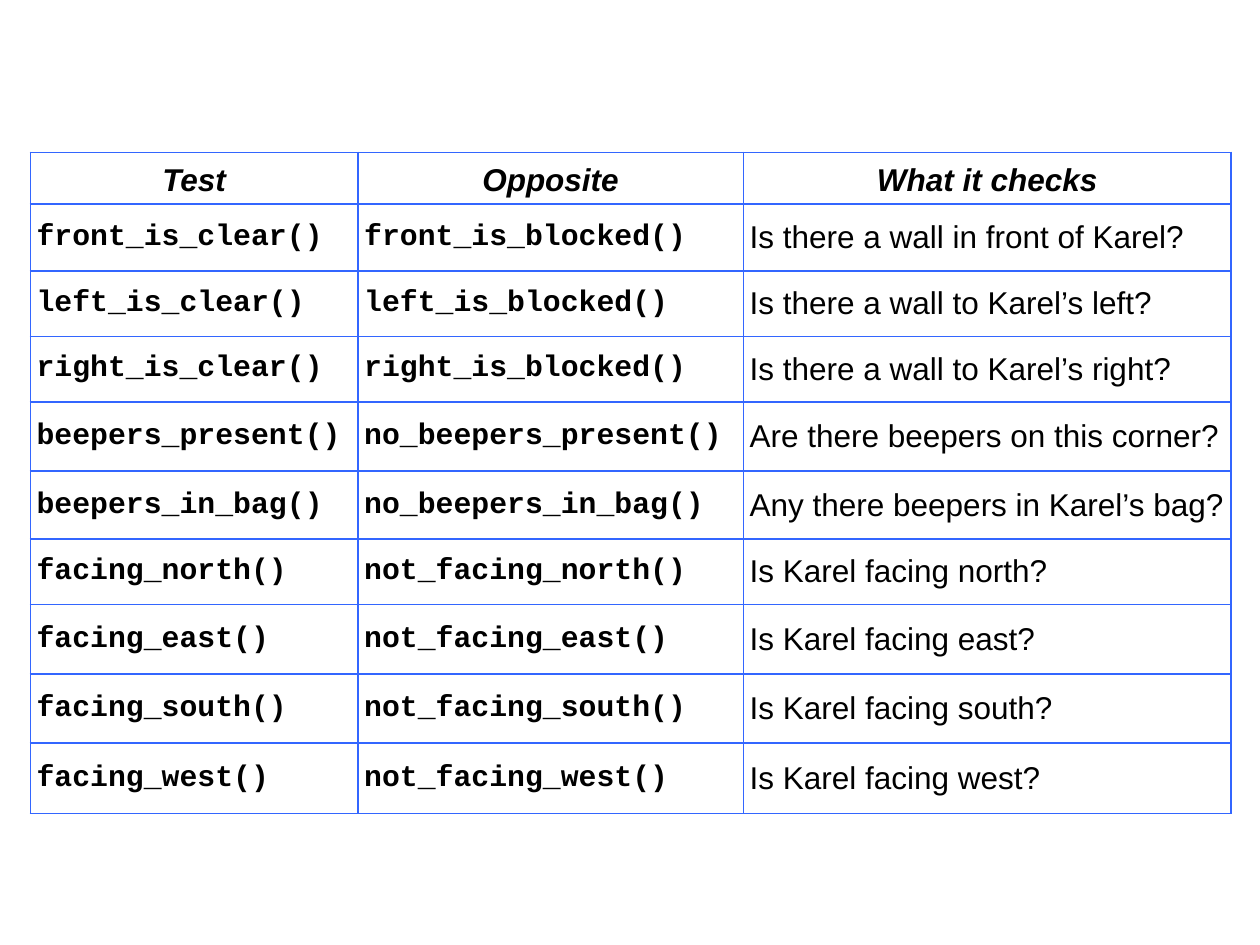
"""Build a slide with a table of Karel's tests, their opposites and meanings."""
from lxml import etree
from pptx import Presentation
from pptx.dml.color import RGBColor
from pptx.enum.text import MSO_ANCHOR, PP_ALIGN
from pptx.oxml.ns import qn
from pptx.util import Inches, Pt

CENTER, LEFT = PP_ALIGN.CENTER, PP_ALIGN.LEFT
BOTTOM, MIDDLE = MSO_ANCHOR.BOTTOM, MSO_ANCHOR.MIDDLE
BORDER, INK = "3366FF", "000000"
COLUMN_WIDTHS = [2.6, 3.06, 3.87]
ROW_HEIGHTS = [0.41, 0.53, 0.52, 0.52, 0.55, 0.54, 0.52, 0.55, 0.55, 0.56]
ROWS = [
    ("Test", "Opposite", "What it checks"),
    ("front_is_clear()", "front_is_blocked()", "Is there a wall in front of Karel?"),
    ("left_is_clear()", "left_is_blocked()", "Is there a wall to Karel’s left?"),
    ("right_is_clear()", "right_is_blocked()", "Is there a wall to Karel’s right?"),
    ("beepers_present()", "no_beepers_present()", "Are there beepers on this corner?"),
    ("beepers_in_bag()", "no_beepers_in_bag()", "Any there beepers in Karel’s bag?"),
    ("facing_north()", "not_facing_north()", "Is Karel facing north?"),
    ("facing_east()", "not_facing_east()", "Is Karel facing east?"),
    ("facing_south()", "not_facing_south()", "Is Karel facing south?"),
    ("facing_west()", "not_facing_west()", "Is Karel facing west?"),
]


def color(value):
    return RGBColor.from_string(value)


def add_borders(cell):
    properties = cell._tc.get_or_add_tcPr()
    for side in ("a:lnL", "a:lnR", "a:lnT", "a:lnB"):
        line = etree.SubElement(properties, qn(side), w=str(Pt(1)))
        fill = etree.SubElement(line, qn("a:solidFill"))
        etree.SubElement(fill, qn("a:srgbClr"), val=BORDER)


deck = Presentation()
deck.slide_width, deck.slide_height = Inches(10), Inches(7.5)
page = deck.slides.add_slide(deck.slide_layouts[6])

table = page.shapes.add_table(
    len(ROWS), len(COLUMN_WIDTHS), Inches(0.24), Inches(1.21),
    Inches(sum(COLUMN_WIDTHS)), Inches(sum(ROW_HEIGHTS))).table
table.first_row = table.horz_banding = False
for column, width in zip(table.columns, COLUMN_WIDTHS):
    column.width = Inches(width)
for row, height in zip(table.rows, ROW_HEIGHTS):
    row.height = Inches(height)

for row_index, texts in enumerate(ROWS):
    for column_index, text in enumerate(texts):
        header = row_index == 0
        code = not header and column_index < 2
        cell = table.cell(row_index, column_index)
        add_borders(cell)
        cell.fill.background()
        cell.margin_left = cell.margin_right = Inches(0.05)
        cell.margin_top = cell.margin_bottom = Inches(0.05)
        cell.vertical_anchor = BOTTOM if header else MIDDLE
        cell.text_frame.text = text
        para = cell.text_frame.paragraphs[0]
        para.alignment = CENTER if header else LEFT
        font = para.runs[0].font
        font.name = "Courier New" if code else "Arial"
        font.size = Pt(17 if code else 18)
        font.bold = header or code
        font.italic = header
        font.color.rgb = color(INK)

deck.save("out.pptx")
